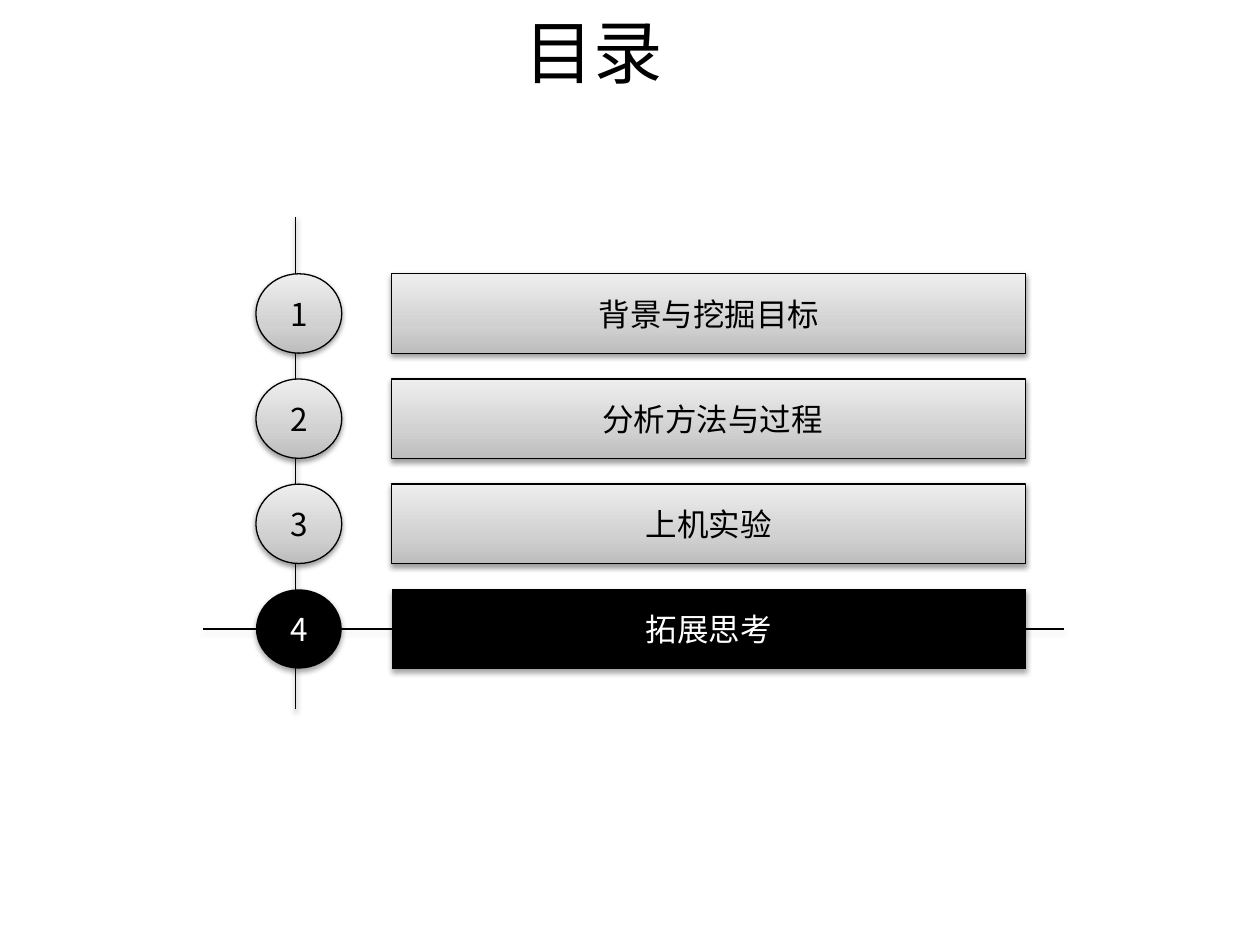
import dataclasses

import pptx
import pptx.dml.color
import pptx.enum.shapes
import pptx.enum.text
import pptx.oxml
import pptx.oxml.ns
import pptx.util

Cm = pptx.util.Cm
Pt = pptx.util.Pt
qn = pptx.oxml.ns.qn
SHAPE = pptx.enum.shapes.MSO_SHAPE
NS = pptx.oxml.ns.nsdecls("a")


@dataclasses.dataclass(frozen=True)
class Theme:
    dark: str = "000000"
    light: str = "FFFFFF"
    gradient: tuple = ((0, "BDBDBD"), (35, "D1D1D1"), (100, "EEEEEE"))
    title_font: str = "Calibri"
    font: str = "Noto Sans CJK SC"
    title_size: float = 39.6
    item_size: float = 18
    line_width: float = 0.75


THEME = Theme()
ITEMS = ["背景与挖掘目标", " 分析方法与过程", "上机实验", "拓展思考"]
CURRENT = 4
TOP, PITCH, HEIGHT = 5.52, 2.12, 1.6
CIRCLE_LEFT, CIRCLE_WIDTH = 5.16, 1.73
BAR_LEFT, BAR_WIDTH = 7.9, 12.78


def rgb(value):
    return pptx.dml.color.RGBColor.from_string(value)


def add_shadow(sp, opacity=38, distance=1.6):
    """Give a shape or connector a soft shadow straight below it."""
    sp._element.spPr.append(pptx.oxml.parse_xml(
        f'<a:effectLst {NS}><a:outerShdw blurRad="{Pt(3.1)}" dist="{Pt(distance)}" '
        f'dir="5400000" rotWithShape="0"><a:srgbClr val="{THEME.dark}">'
        f'<a:alpha val="{opacity * 1000}"/></a:srgbClr></a:outerShdw></a:effectLst>'))


def fill_gradient(sp):
    sp.fill.gradient()
    sp.fill.gradient_angle = 90
    stops = sp._element.spPr.find(".//" + qn("a:gsLst"))
    for stop in list(stops):
        stops.remove(stop)
    for position, color in THEME.gradient:
        stops.append(pptx.oxml.parse_xml(
            f'<a:gs {NS} pos="{position * 1000}"><a:srgbClr val="{color}"/></a:gs>'))


def write_text(sp, text, *, size, color, font, wrap=False):
    tf = sp.text_frame
    tf.word_wrap = wrap
    tf.vertical_anchor = pptx.enum.text.MSO_ANCHOR.MIDDLE
    p = tf.paragraphs[0]
    p.alignment = pptx.enum.text.PP_ALIGN.CENTER
    r = p.add_run()
    r.text = text
    r.font.size = Pt(size)
    r.font.name = font
    r.font.color.rgb = rgb(color)
    r.font._element.append(pptx.oxml.parse_xml(
        f'<a:ea {NS} typeface="{THEME.font}"/>'))


def add_line(slide, x1, y1, x2, y2):
    line = slide.shapes.add_connector(
        pptx.enum.shapes.MSO_CONNECTOR.STRAIGHT, Cm(x1), Cm(y1), Cm(x2), Cm(y2))
    line.line.color.rgb = rgb(THEME.dark)
    line.line.width = Pt(THEME.line_width)
    add_shadow(line)


def add_block(slide, kind, left, top, width, text, current):
    """Add a numbered circle or a bar; the current item is solid."""
    sp = slide.shapes.add_shape(kind, Cm(left), Cm(top), Cm(width), Cm(HEIGHT))
    if current:
        sp.fill.solid()
        sp.fill.fore_color.rgb = rgb(THEME.dark)
        sp.line.fill.background()
        add_shadow(sp, opacity=35, distance=1.8)
    else:
        fill_gradient(sp)
        sp.line.color.rgb = rgb(THEME.dark)
        sp.line.width = Pt(THEME.line_width)
        add_shadow(sp)
    write_text(sp, text, size=THEME.item_size, font=THEME.font,
               color=THEME.light if current else THEME.dark)


def add_title(slide, text):
    box = slide.shapes.add_textbox(Cm(0.41), Cm(0.43), Cm(23.11), Cm(1.19))
    write_text(box, text, size=THEME.title_size, color=THEME.dark,
               font=THEME.title_font, wrap=True)


def main():
    prs = pptx.Presentation()
    prs.slide_width, prs.slide_height = Cm(25.4), Cm(19.05)
    slide = prs.slides.add_slide(prs.slide_layouts[6])

    add_line(slide, 5.95, 4.37, 5.95, 14.3)
    current_y = TOP + (CURRENT - 1) * PITCH + HEIGHT / 2
    add_line(slide, 4.1, current_y, 21.44, current_y)
    for number, text in enumerate(ITEMS, 1):
        top = TOP + (number - 1) * PITCH
        current = number == CURRENT
        add_block(slide, SHAPE.OVAL, CIRCLE_LEFT, top, CIRCLE_WIDTH, str(number), current)
        add_block(slide, SHAPE.ACTION_BUTTON_CUSTOM, BAR_LEFT, top, BAR_WIDTH, text, current)
    add_title(slide, "目录")

    prs.save("out.pptx")


if __name__ == "__main__":
    main()
